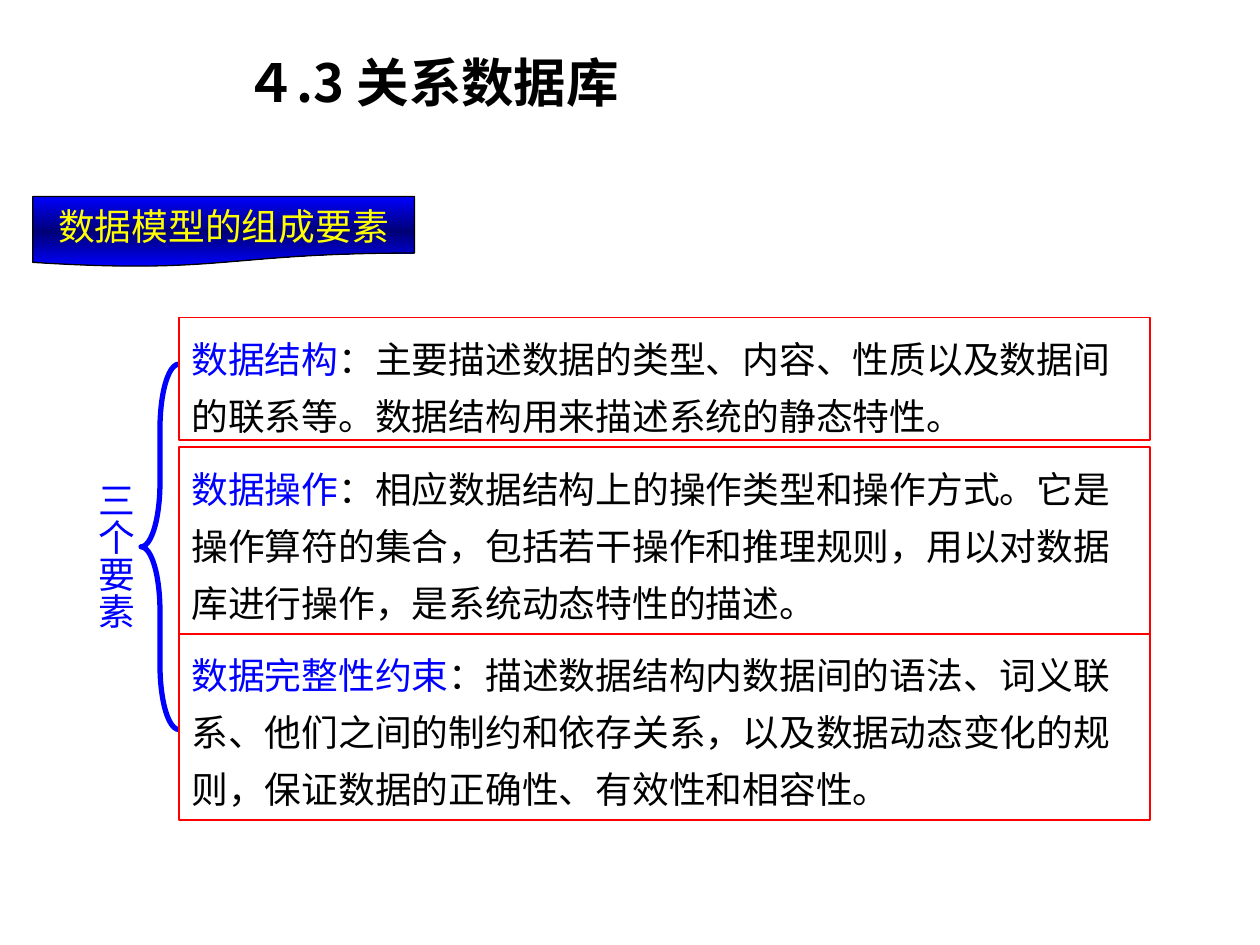
from copy import deepcopy

from pptx import Presentation
from pptx.dml.color import RGBColor
from pptx.enum.shapes import MSO_SHAPE as Preset
from pptx.enum.text import MSO_ANCHOR as Anchor, PP_ALIGN as Align
from pptx.oxml.ns import qn
from pptx.util import Inches, Pt

FONT = "Noto Sans CJK SC"
COLORS = {"term": "0000FF", "body": "000000", "border": "FF0000",
          "banner": "0000FF", "banner_core": "000076", "banner_text": "FFFF00"}
ELEMENTS = [
    ("数据结构", "：主要描述数据的类型、内容、性质以及数据间的联系等。数据结构用来描述系统的静态特性。"),
    ("数据操作", "：相应数据结构上的操作类型和操作方式。它是操作算符的集合，包括若干操作和推理规则，"
                 "用以对数据库进行操作，是系统动态特性的描述。"),
    ("数据完整性约束", "：描述数据结构内数据间的语法、词义联系、他们之间的制约和依存关系，"
                       "以及数据动态变化的规则，保证数据的正确性、有效性和相容性。"),
]
ROWS = [(0, 0.97), (1.03, 1.48), (2.51, 1.48)]  # top and height inside the panel


def color(name):
    return RGBColor.from_string(COLORS[name])


def inches(*lengths):
    return [Inches(length) for length in lengths]


def format_run(run, color_name, size=21, bold=False):
    font = run.font
    font.size, font.bold, font.name = Pt(size), bold, FONT
    font.color.rgb = color(color_name)
    east_asian = run._r.get_or_add_rPr().makeelement(qn("a:ea"), {"typeface": FONT})
    font._element.find(qn("a:latin")).addnext(east_asian)


def set_frame(frame, anchor, margins=(0, 0, 0, 0)):
    frame.word_wrap = True
    frame.vertical_anchor = anchor
    (frame.margin_left, frame.margin_top,
     frame.margin_right, frame.margin_bottom) = inches(*margins)


def write_centred(frame, text, color_name, **style):
    frame.text = text
    paragraph = frame.paragraphs[0]
    paragraph.alignment = Align.CENTER
    format_run(paragraph.runs[0], color_name, **style)


def add_outlined(slide, preset, box, line_color, width):
    shape = slide.shapes.add_shape(preset, *inches(*box))
    shape.shadow.inherit = False
    shape.fill.background()
    shape.line.color.rgb = color(line_color)
    shape.line.width = Pt(width)
    return shape


def place_title(slide, box):
    title = slide.shapes.title
    title.left, title.top, title.width, title.height = inches(*box)
    set_frame(title.text_frame, Anchor.MIDDLE, (0.01, 0.03, 0, 0))
    write_centred(title.text_frame, "４.3 关系数据库", "body", size=30, bold=True)


def add_banner(slide, box):
    banner = add_outlined(slide, Preset.FLOWCHART_DOCUMENT, box, "body", 0.75)
    banner.fill.gradient()
    banner.fill.gradient_angle = 90
    for stop in banner.fill.gradient_stops:
        stop.color.rgb = color("banner")
    first = next(banner._element.spPr.iter(qn("a:gs")))
    core = deepcopy(first)
    core.set("pos", "50000")
    core[0].set("val", COLORS["banner_core"])
    first.addnext(core)
    set_frame(banner.text_frame, Anchor.MIDDLE, (0, 0.02, 0, 0))
    write_centred(banner.text_frame, "数据模型的组成要素", "banner_text")


def add_brace_label(slide, box):
    label = slide.shapes.add_textbox(*inches(*box))
    set_frame(label.text_frame, Anchor.MIDDLE, (0.14, 0.2, 0, 0))
    label.text_frame._txBody.bodyPr.set("vert", "eaVert")
    write_centred(label.text_frame, "三个要素", "term")


def add_brace(slide, box):
    brace = add_outlined(slide, Preset.LEFT_BRACE, box, "term", 3)
    brace.adjustments[0] = 1.7


def add_element(slide, box, term, description):
    element = add_outlined(slide, Preset.RECTANGLE, box, "border", 1)
    set_frame(element.text_frame, Anchor.TOP, (0.1, 0.05, 0.1, 0))
    paragraph = element.text_frame.paragraphs[0]
    paragraph.alignment = Align.LEFT
    paragraph.line_spacing = Pt(32.6)
    for text, color_name in ((term, "term"), (description, "body")):
        run = paragraph.add_run()
        run.text = text
        format_run(run, color_name)


def add_elements_panel(slide, box):
    left, top, width, height = box
    add_brace_label(slide, (left, top + 1.11, 0.56, 1.42))
    add_brace(slide, (left + 0.55, top + 0.37, 0.3, 2.9))
    text_left = left + 0.85
    for (row_top, row_height), words in zip(ROWS, ELEMENTS):
        add_element(slide, (text_left, top + row_top, width - 0.85, row_height), *words)


def main():
    deck = Presentation()
    deck.slide_width, deck.slide_height = inches(10, 7.5)
    slide = deck.slides.add_slide(deck.slide_layouts[5])
    place_title(slide, (1.29, 0.35, 4.26, 0.57))
    add_elements_panel(slide, (0.57, 2.52, 8.56, 3.99))
    add_banner(slide, (0.26, 1.56, 3.03, 0.56))
    deck.save("out.pptx")


if __name__ == "__main__":
    main()
